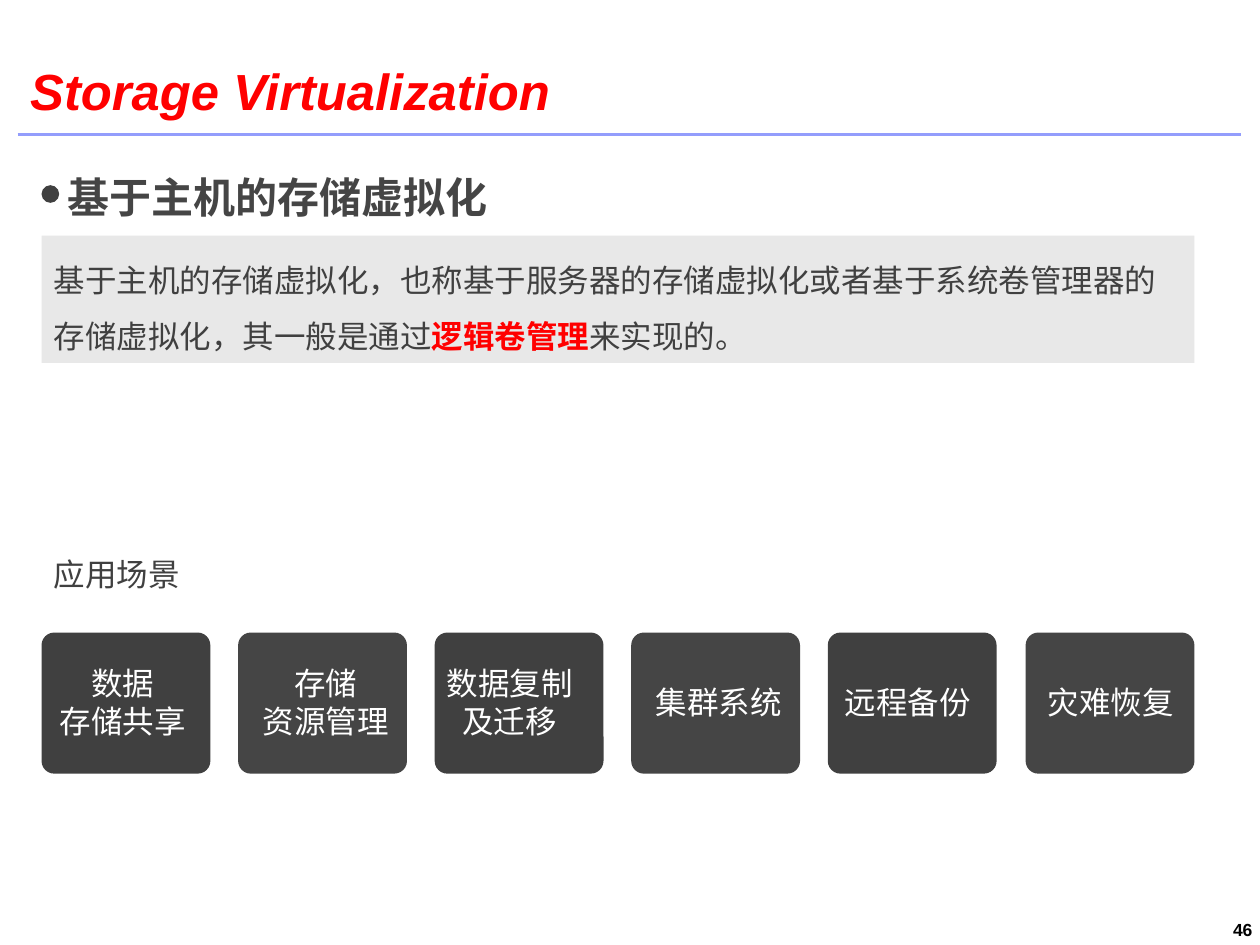
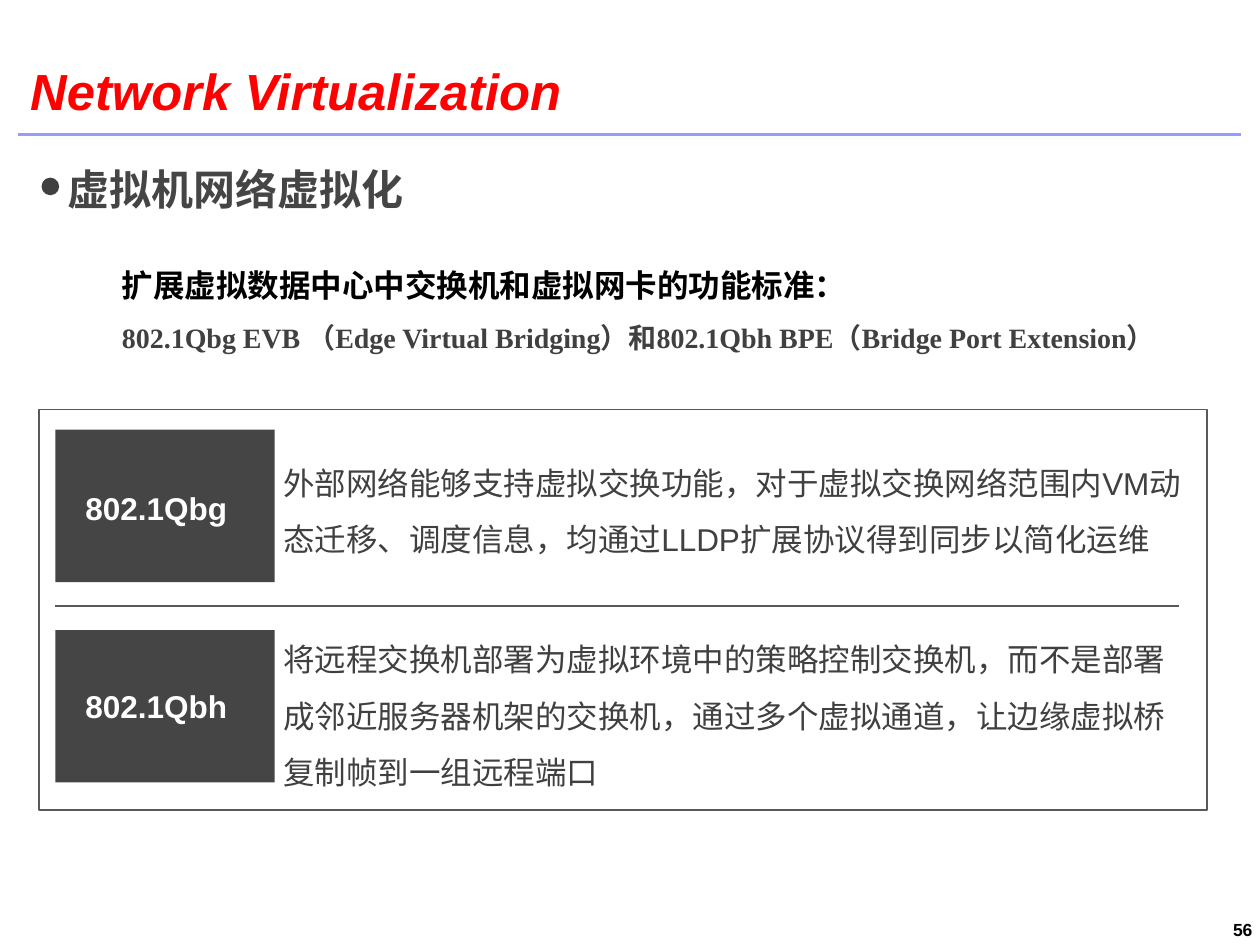
from typing import NamedTuple

from lxml.etree import SubElement
from pptx import Presentation
from pptx.dml.color import RGBColor
from pptx.enum.shapes import MSO_CONNECTOR as Link, MSO_SHAPE as Kind
from pptx.enum.text import MSO_ANCHOR as Anchor, MSO_AUTO_SIZE as Fit, PP_ALIGN as Align
from pptx.oxml.ns import qn
from pptx.util import Emu, Pt

# Shared look: 100 px to the inch
SCALE = 9144
SANS, SERIF = "Arial", "Times New Roman"
RED, WHITE, BLACK = "FF0000", "FFFFFF", "000000"
DARK, GREY, PALE = "404040", "454545", "E8E8E8"
RULE, EDGE = "939DFC", "595959"
PAD = (10, 5, 10, 5)


class Box(NamedTuple):
    x: int
    y: int
    w: int
    h: int


class Span(NamedTuple):
    text: str
    color: str = ""
    bold: bool = False


class Para(NamedTuple):
    spans: list[Span]
    size: int = 18
    color: str = DARK
    bold: bool = False
    font: str = SANS
    align: Align = Align.LEFT
    space: float = 1.0


class Card(NamedTuple):
    lines: list[str]
    x: int  # left edge of the label


class Norm(NamedTuple):
    name: str
    text: str
    tile: Box
    label: Box
    note: Box


def px(n: int) -> Emu:
    return Emu(n * SCALE)


def rgb(code: str) -> RGBColor:
    return RGBColor.from_string(code)


def place(box: Box) -> list[Emu]:
    return [px(n) for n in box]


def line(text: str, **style) -> Para:
    return Para([Span(text)], **style)


def write(frame, paras: list[Para], wrap: bool = True, pad: tuple = PAD) -> None:
    frame.word_wrap = wrap
    frame.auto_size = Fit.NONE
    (frame.margin_left, frame.margin_top,
     frame.margin_right, frame.margin_bottom) = [px(n) for n in pad]
    for i, item in enumerate(paras):
        para = frame.add_paragraph() if i else frame.paragraphs[0]
        para.alignment, para.line_spacing = item.align, item.space
        font = para.font
        font.name, font.size, font.bold = item.font, Pt(item.size), item.bold
        font.color.rgb = rgb(item.color)
        for span in item.spans:
            run = para.add_run()
            run.text = span.text
            if span.color:
                run.font.color.rgb = rgb(span.color)
                run.font.bold = span.bold


def add_text(slide, box: Box, paras: list[Para], wrap: bool = True, pad: tuple = PAD):
    area = slide.shapes.add_textbox(*place(box))
    write(area.text_frame, paras, wrap, pad)
    return area


def add_shape(slide, kind: Kind, box: Box, fill: str = "", edge: str = ""):
    shape = slide.shapes.add_shape(kind, *place(box))
    shape.shadow.inherit = False
    if fill:
        shape.fill.solid()
        shape.fill.fore_color.rgb = rgb(fill)
    else:
        shape.fill.background()
    if edge:
        shape.line.color.rgb = rgb(edge)
        shape.line.width = Pt(1)
    else:
        shape.line.fill.background()
    return shape


def add_rule(slide, x1: int, x2: int, y: int, color: str, width: float) -> None:
    rule = slide.shapes.add_connector(Link.STRAIGHT, px(x1), px(y), px(x2), px(y))
    rule.line.color.rgb = rgb(color)
    rule.line.width = Pt(width)
    SubElement(rule._element.spPr, qn("a:effectLst"))


def add_slide(deck, title: str, page: str, topic: str, top: int, width: int):
    """Add a slide with its title, rule, page number and bulleted topic."""
    slide = deck.slides.add_slide(deck.slide_layouts[5])
    add_rule(slide, 14, 985, 107, RULE, 1.75)
    head = slide.shapes.title
    head.left, head.top, head.width, head.height = place(Box(18, 0, 967, 96))
    write(head.text_frame, [line(title, size=29, color=RED, bold=True)], pad=(6, 2, 0, 0))
    head.text_frame.vertical_anchor = Anchor.BOTTOM
    head.text_frame.paragraphs[0].font.italic = True
    add_text(slide, Box(910, 729, 90, 18),
             [line(page, size=10, color=BLACK, bold=True, align=Align.RIGHT)],
             pad=(0, 0, 6, 6))
    add_text(slide, Box(44, top, width, 50),
             [line(topic, size=24, color=GREY, bold=True)], wrap=False)
    add_shape(slide, Kind.OVAL, Box(33, top + 16, 14, 14), DARK)
    return slide


CARDS = [
    Card(["数据", "存储共享"], 37),
    Card(["存储", "资源管理"], 198),
    Card(["数据复制", "及迁移"], 344),
    Card(["集群系统"], 510),
    Card(["远程备份"], 660),
    Card(["灾难恢复"], 821),
]

# The first note is slightly wider, so that it fits on two lines
NORMS = [
    Norm("802.1Qbg",
         "外部网络能够支持虚拟交换功能，对于虚拟交换网络范围内VM动态迁移、调度信息，"
         "均通过LLDP扩展协议得到同步以简化运维",
         Box(44, 341, 174, 121), Box(58, 383, 144, 40), Box(215, 348, 750, 101)),
    Norm("802.1Qbh",
         "将远程交换机部署为虚拟环境中的策略控制交换机，而不是部署成邻近服务器机架的交换机，"
         "通过多个虚拟通道，让边缘虚拟桥复制帧到一组远程端口",
         Box(44, 500, 174, 121), Box(58, 540, 144, 40), Box(215, 488, 744, 146)),
]


def storage(deck) -> None:
    slide = add_slide(deck, "Storage Virtualization", "46", "基于主机的存储虚拟化", 131, 357)
    # Definition
    panel = add_text(slide, Box(33, 187, 915, 101), [Para([
        Span("基于主机的存储虚拟化，也称基于服务器的存储虚拟化或者基于系统卷管理器的"
             "存储虚拟化，其一般是通过"),
        Span("逻辑卷管理", RED, True),
        Span("来实现的。"),
    ], space=1.5)])
    panel.fill.solid()
    panel.fill.fore_color.rgb = rgb(PALE)
    # Use cases: six cards at an equal pitch
    add_text(slide, Box(33, 436, 121, 40), [line("应用场景")], wrap=False)
    for i, card in enumerate(CARDS):
        left = 33 + i * 781 // 5
        tile = add_shape(slide, Kind.ROUNDED_RECTANGLE, Box(left, 502, 134, 112),
                         GREY if i % 2 else DARK)
        tile.adjustments[0] = 0.09
        y, h = (522, 71) if len(card.lines) > 1 else (537, 40)
        add_text(slide, Box(card.x, y, 121, h),
                 [line(t, color=WHITE, align=Align.CENTER) for t in card.lines], wrap=False)


def network(deck) -> None:
    slide = add_slide(deck, "Network Virtualization", "56", "虚拟机网络虚拟化", 125, 289)
    # Standards in brief
    add_text(slide, Box(87, 191, 860, 96), [
        line("扩展虚拟数据中心中交换机和虚拟网卡的功能标准：",
             color=BLACK, bold=True, space=1.5),
        line("802.1Qbg EVB （Edge Virtual Bridging）和802.1Qbh BPE（Bridge Port Extension）",
             size=16, bold=True, font=SERIF, space=1.5),
    ])
    # One row for each standard, in a frame
    for norm in NORMS:
        add_shape(slide, Kind.RECTANGLE, norm.tile, GREY)
        add_text(slide, norm.label, [line(norm.name, color=WHITE, bold=True)], wrap=False)
        add_text(slide, norm.note, [line(norm.text, space=1.5)])
    add_shape(slide, Kind.RECTANGLE, Box(31, 325, 927, 318), edge=EDGE)
    add_rule(slide, 44, 936, 481, EDGE, 1)


def main() -> None:
    deck = Presentation()
    deck.slide_width, deck.slide_height = px(1000), px(750)
    storage(deck)
    network(deck)
    deck.save("out.pptx")


if __name__ == "__main__":
    main()
